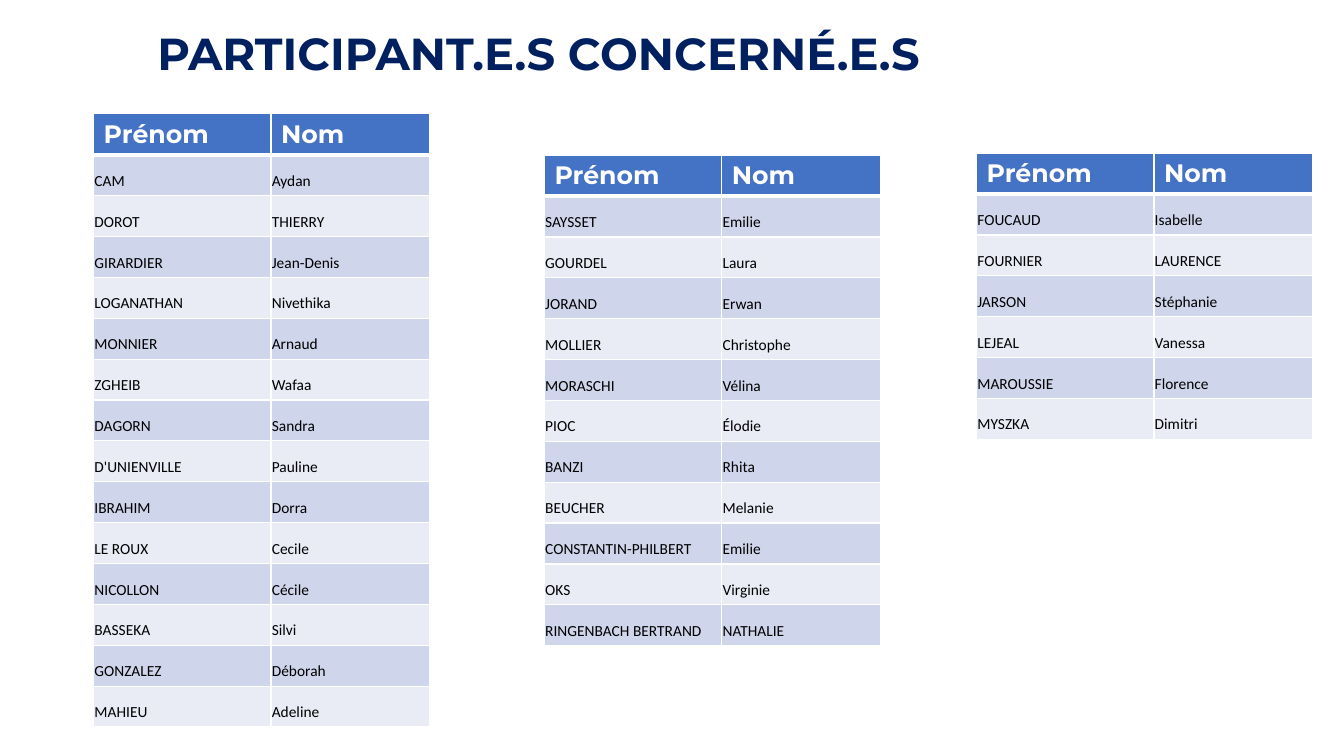
"""Build the slide that lists the participants concerned in three tables."""
from dataclasses import dataclass

from lxml.etree import SubElement
from pptx import Presentation
from pptx.dml.color import RGBColor as Rgb
from pptx.enum.text import MSO_ANCHOR as Anchor, MSO_AUTO_SIZE as AutoSize, PP_ALIGN as Align
from pptx.oxml.ns import qn
from pptx.util import Cm, Pt


@dataclass(frozen=True)
class Theme:
    navy: str = "002060"
    blue: str = "4472C4"
    bands: tuple = ("CFD5EA", "E9EBF5")
    white: str = "FFFFFF"
    black: str = "000000"
    display: str = "Montserrat"
    body: str = "Calibri"
    title_size: int = 32
    header_size: int = 18
    name_size: int = 11
    rule: int = 1
    header_rule: int = 3


theme = Theme()


def write(paragraph, text, font, size, color, bold):
    run = paragraph.add_run()
    run.text = text
    run.font.name = font
    run.font.size = Pt(size)
    run.font.bold = bold
    run.font.color.rgb = Rgb.from_string(color)


def draw_borders(cell, top, bottom):
    properties = cell._tc.get_or_add_tcPr()
    for side, width in (("L", theme.rule), ("R", theme.rule), ("T", top), ("B", bottom)):
        line = SubElement(properties, qn(f"a:ln{side}"), w=str(Pt(width)))
        SubElement(SubElement(line, qn("a:solidFill")), qn("a:srgbClr"), val=theme.white)


HEADINGS = ("Prénom", "Nom")
COLUMN_WIDTHS = (Cm(4.47), Cm(3.99))
ROW_HEIGHT = Cm(1.03)

groups = [
    (Cm(2.36), Cm(2.87), [
        ("CAM", "Aydan"),
        ("DOROT", "THIERRY"),
        ("GIRARDIER", "Jean-Denis"),
        ("LOGANATHAN", "Nivethika"),
        ("MONNIER", "Arnaud"),
        ("ZGHEIB", "Wafaa"),
        ("DAGORN", "Sandra"),
        ("D'UNIENVILLE", "Pauline"),
        ("IBRAHIM", "Dorra"),
        ("LE ROUX", "Cecile"),
        ("NICOLLON", "Cécile"),
        ("BASSEKA", "Silvi"),
        ("GONZALEZ", "Déborah"),
        ("MAHIEU", "Adeline"),
    ]),
    (Cm(13.72), Cm(3.91), [
        ("SAYSSET", "Emilie"),
        ("GOURDEL", "Laura"),
        ("JORAND", "Erwan"),
        ("MOLLIER", "Christophe"),
        ("MORASCHI", "Vélina"),
        ("PIOC", "Élodie"),
        ("BANZI", "Rhita"),
        ("BEUCHER", "Melanie"),
        ("CONSTANTIN-PHILBERT", "Emilie"),
        ("OKS", "Virginie"),
        ("RINGENBACH BERTRAND", "NATHALIE"),
    ]),
    (Cm(24.61), Cm(3.86), [
        ("FOUCAUD", "Isabelle"),
        ("FOURNIER", "LAURENCE"),
        ("JARSON", "Stéphanie"),
        ("LEJEAL", "Vanessa"),
        ("MAROUSSIE", "Florence"),
        ("MYSZKA", "Dimitri"),
    ]),
]

deck = Presentation()
deck.slide_width, deck.slide_height = Cm(33.87), Cm(19.05)
slide = deck.slides.add_slide(deck.slide_layouts[5])

title = slide.shapes.title
title.left, title.top, title.width, title.height = Cm(3.71), Cm(0.51), Cm(20.02), Cm(1.63)
heading = title.text_frame
heading.word_wrap = False
heading.auto_size = AutoSize.SHAPE_TO_FIT_TEXT
heading.vertical_anchor = Anchor.TOP
heading.paragraphs[0].alignment = Align.LEFT
write(heading.paragraphs[0], "PARTICIPANT.E.S CONCERNÉ.E.S",
      theme.display, theme.title_size, theme.navy, True)

for left, top, people in groups:
    rows = [HEADINGS, *people]
    roster = slide.shapes.add_table(len(rows), len(HEADINGS), left, top,
                                    sum(COLUMN_WIDTHS), ROW_HEIGHT * len(rows)).table
    for column, width in zip(roster.columns, COLUMN_WIDTHS):
        column.width = width
    for row_index, names in enumerate(rows):
        roster.rows[row_index].height = ROW_HEIGHT
        for column_index, name in enumerate(names):
            cell = roster.cell(row_index, column_index)
            draw_borders(cell,
                         theme.header_rule if row_index == 1 else theme.rule,
                         theme.header_rule if row_index == 0 else theme.rule)
            cell.fill.solid()
            paragraph = cell.text_frame.paragraphs[0]
            if row_index == 0:
                cell.fill.fore_color.rgb = Rgb.from_string(theme.blue)
                write(paragraph, name, theme.display, theme.header_size, theme.white, True)
            else:
                cell.fill.fore_color.rgb = Rgb.from_string(theme.bands[(row_index - 1) % 2])
                cell.vertical_anchor = Anchor.BOTTOM
                cell.margin_left = cell.margin_right = cell.margin_top = Cm(0.02)
                cell.margin_bottom = Cm(0.13)
                write(paragraph, name, theme.body, theme.name_size, theme.black, False)

deck.save("out.pptx")
